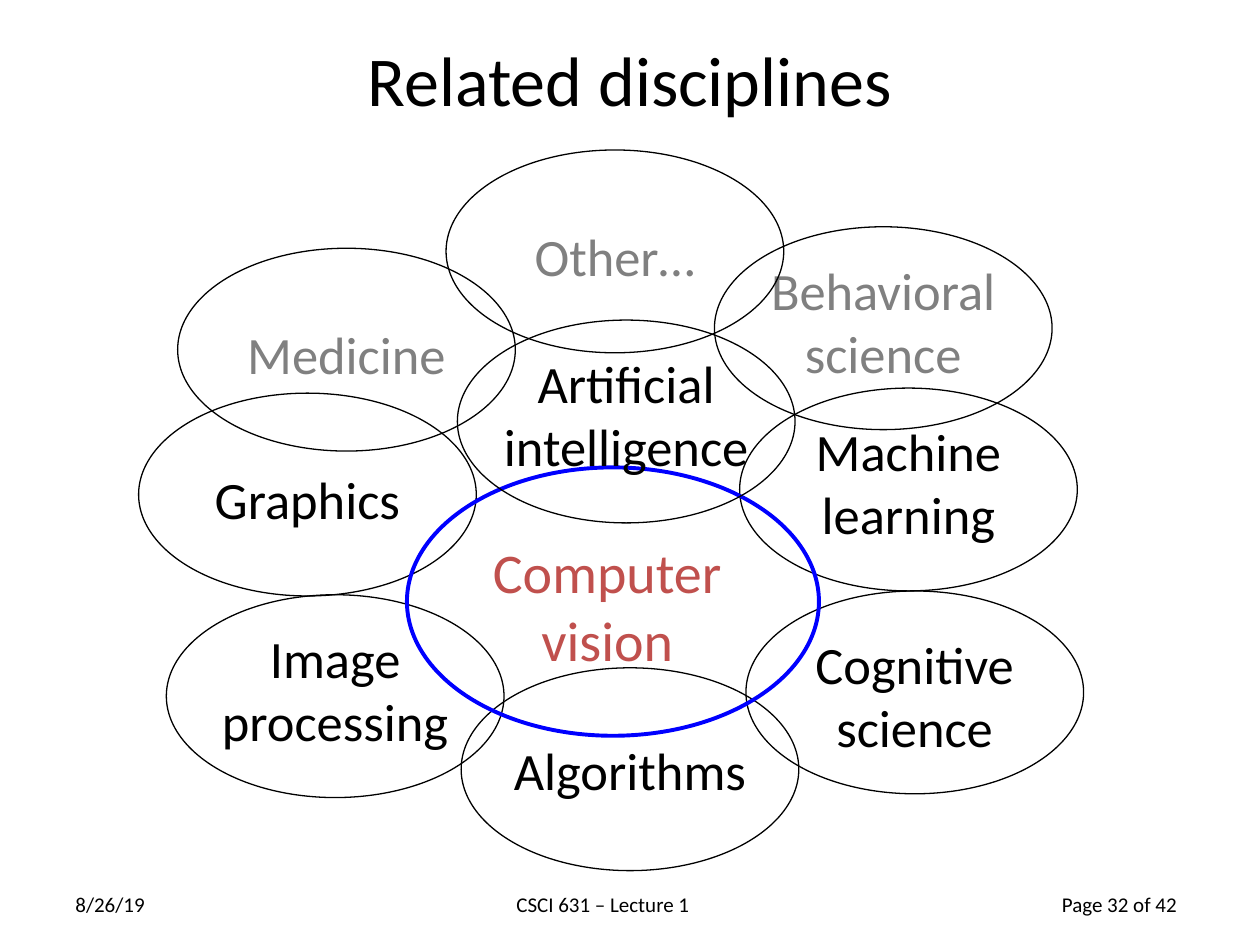
from pptx import Presentation
from pptx import util as u
from pptx.dml.color import RGBColor
from pptx.enum import shapes, text

BLACK = RGBColor(0x00, 0x00, 0x00)
GRAY = RGBColor(0x80, 0x80, 0x80)
BLUE = RGBColor(0x00, 0x00, 0xFF)
RED = RGBColor(0xC0, 0x50, 0x4D)
OVAL_W, OVAL_H = 2.68, 1.61


def add_text(parent, words, box, size, color=BLACK, align=text.PP_ALIGN.CENTER, **frame):
    sp = parent.add_textbox(*[u.Inches(v) for v in box])
    tf = sp.text_frame
    for name, value in {"word_wrap": True, **frame}.items():
        setattr(tf, name, value)
    p = tf.paragraphs[0]
    p.alignment = align
    r = p.add_run()
    r.text = words
    for name, value in {"name": "Calibri", "size": u.Pt(size)}.items():
        setattr(r.font, name, value)
    r.font.color.rgb = color


def add_oval(parent, box, color=BLACK, width=0.75):
    sp = parent.add_shape(shapes.MSO_SHAPE.OVAL, *[u.Inches(v) for v in box])
    sp.shadow.inherit = False
    sp.fill.background()
    sp.line.color.rgb = color
    sp.line.width = u.Pt(width)


prs = Presentation()
prs.slide_width, prs.slide_height = u.Inches(10), u.Inches(7.5)
s = prs.slides.add_slide(prs.slide_layouts[6])

footers = [("Page 32 of 42", 8.33, 1.17), ("CSCI 631 – Lecture 1", 4, 1.58), ("8/26/19", 0.5, 0.92)]
for words, x, w in footers:
    add_text(s.shapes, words, (x, 7.03, w, 0.3), 12, align=text.PP_ALIGN.LEFT, word_wrap=False)

add_text(s.shapes, "Related disciplines", (0.75, 0, 8.5, 1.25), 40,
         vertical_anchor=text.MSO_ANCHOR.MIDDLE)

outer = [
    ("Cognitive science", BLACK, 5.92, 4.69, 4.97, 2.13, 1.1),
    ("Algorithms", BLACK, 3.66, 5.3, 5.81, 2.28, 0.6),
    ("Image processing", BLACK, 1.32, 4.72, 4.92, 2.28, 1.1),
    ("Behavioral science", GRAY, 5.67, 1.8, 2, 2.28, 1.1),
    ("Graphics", BLACK, 1.1, 3.12, 3.66, 2.28, 0.6),
    ("Machine learning", BLACK, 5.87, 3.08, 3.28, 2.28, 1.1),
]
inner = [
    ("Medicine", GRAY, 1.41, 1.97, 2.51, 2.28, 0.6),
    ("Artificial intelligence", BLACK, 3.63, 2.54, 2.74, 2.28, 1.1),
    ("Other…", GRAY, 3.54, 1.19, 1.73, 2.28, 0.6),
]
for fields in (outer, inner):
    for words, color, x, y, text_y, w, h in fields:
        g = s.shapes.add_group_shape().shapes
        add_text(g, words, (x + (OVAL_W - w) / 2, text_y, w, h), 30, color)
        add_oval(g, (x, y, OVAL_W, OVAL_H))
    if fields is outer:
        add_oval(s.shapes, (3.23, 3.71, 3.27, 2.13), BLUE, 2.25)
        add_text(s.shapes, "Computer vision", (3.62, 4.22, 2.4, 1.17), 32, RED)

prs.save("out.pptx")
